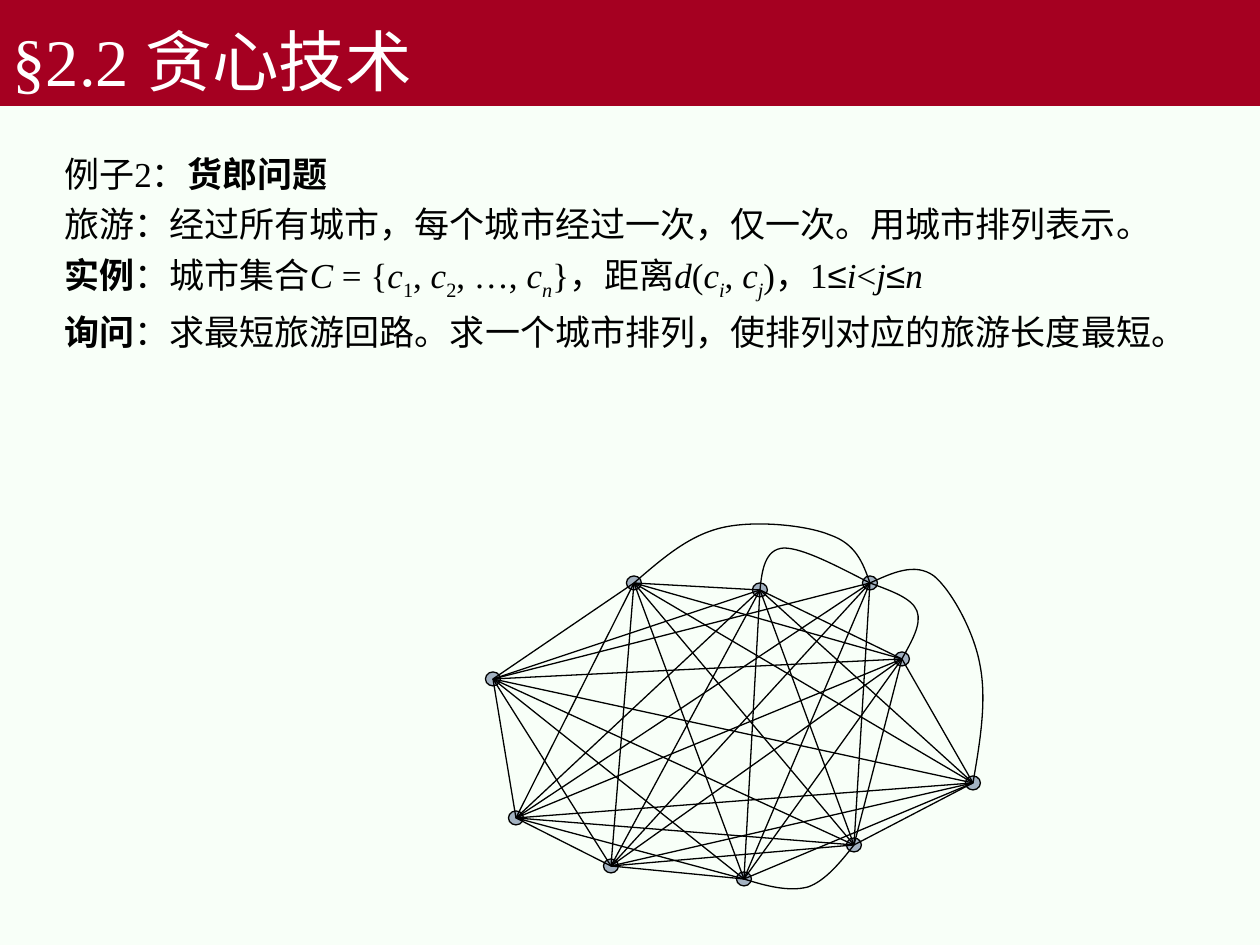
from itertools import combinations

from pptx import Presentation
from pptx import util as u
from pptx.dml.color import RGBColor
from pptx.enum import shapes, text
from pptx.oxml import ns, xmlchemy

PX = u.Inches(1) // 126
THEME = {
    "background": "F8FFF8", "banner": "A50021", "title": "FFFFFF",
    "ink": "000000", "city": "A3B2C1",
    "serif": "Times New Roman", "sans": "Arial",
    "title_size": 38, "body_size": 20, "space_before": 5, "line_width": 0.75,
}

TITLE = "§2.2 贪心技术"
BANNER = (0, 0, 1260, 106)
BODY_BOX = (52, 146, 1134, 238)
BODY = [
    [("例子2：", ""), ("货郎问题", "bold")],
    [("旅游：经过所有城市，每个城市经过一次，仅一次。用城市排列表示。", "")],
    [("实例", "bold"), ("：城市集合", ""), ("C", "italic"), (" = {", ""),
     ("c", "italic"), ("1", "sub"), (", ", ""), ("c", "italic"), ("2", "sub"),
     (", …, ", ""), ("c", "italic"), ("n", "italic sub"), ("}，距离", ""),
     ("d", "italic"), ("(", ""), ("c", "italic"), ("i", "italic sub"), (", ", ""),
     ("c", "italic"), ("j", "italic sub"), (")，1", ""), ("≤", "sans"),
     ("i", "italic"), ("<", ""), ("j", "italic"), ("≤", "sans"), ("n", "italic")],
    [("询问", "bold"),
     ("：求最短旅游回路。求一个城市排列，使排列对应的旅游长度最短。", "")],
]

CITY_SIZE = (15, 14)
CITIES = {
    "A": (634, 583), "B": (760, 590), "C": (870, 583), "D": (902, 659),
    "E": (973, 783), "F": (854, 845), "G": (744, 879), "H": (611, 866),
    "I": (516, 818), "J": (493, 679),
}
CURVED_ROADS = {
    ("A", "C"): [(662, 559), (688, 536), (721, 528), (753, 520), (806, 525),
                 (830, 535), (856, 544), (863, 563)],
    ("B", "C"): [(762, 570), (765, 549), (784, 548), (803, 548), (837, 566)],
    ("C", "D"): [(891, 591), (912, 598), (917, 611), (922, 624), (912, 641)],
    ("C", "E"): [(892, 573), (915, 562), (934, 576), (951, 590), (974, 631),
                 (980, 665), (987, 701), (980, 742)],
    ("F", "G"): [(840, 863), (825, 881), (808, 887), (789, 892), (766, 886)],
}


def emu(values):
    return [value * PX for value in values]


def color(name):
    return RGBColor.from_string(THEME[name])


def paint(fill, name):
    fill.solid()
    fill.fore_color.rgb = color(name)


def set_line(line):
    paint(line.fill, "ink")
    line.width = u.Pt(THEME["line_width"])


def set_font(font, size, ink, face="serif"):
    font.size = u.Pt(THEME[size])
    font.name = THEME[face]
    font.color.rgb = color(ink)


def add_title(slide):
    title = slide.shapes.title
    title.left, title.top, title.width, title.height = emu(BANNER)
    paint(title.fill, "banner")
    frame = title.text_frame
    frame.text = TITLE
    frame.auto_size = text.MSO_AUTO_SIZE.NONE
    frame.vertical_anchor = text.MSO_ANCHOR.BOTTOM
    paragraph = frame.paragraphs[0]
    paragraph.alignment = text.PP_ALIGN.LEFT
    set_font(paragraph.runs[0].font, "title_size", "title")


def add_body(slide):
    frame = slide.shapes.add_textbox(*emu(BODY_BOX)).text_frame
    frame.word_wrap = True
    frame.text = "\n".join("" for _ in BODY)
    for index, (paragraph, pieces) in enumerate(zip(frame.paragraphs, BODY)):
        paragraph.space_before = u.Pt(THEME["space_before"] if index else 0)
        for words, style in pieces:
            run = paragraph.add_run()
            run.text = words
            face = "sans" if "sans" in style else "serif"
            set_font(run.font, "body_size", "ink", face)
            run.font.bold = "bold" in style
            run.font.italic = "italic" in style
            if "sub" in style:
                run.font._element.set("baseline", "-25000")


def add_city(group, center):
    corner = [middle - side / 2 for middle, side in zip(center, CITY_SIZE)]
    box = [int(value) for value in emu([*corner, *CITY_SIZE])]
    city = group.shapes.add_shape(shapes.MSO_SHAPE.OVAL, *box)
    city.shadow.inherit = False
    paint(city.fill, "city")
    set_line(city.line)


def add_straight_road(group, start, end):
    road = group.shapes.add_connector(
        shapes.MSO_CONNECTOR.STRAIGHT, *emu(start), *emu(end))
    set_line(road.line)
    road.element.spPr.append(xmlchemy.OxmlElement("a:effectLst"))


def add_curved_road(group, start, controls, end):
    builder = group.shapes.build_freeform(*start, scale=PX)
    builder.add_line_segments([*controls, end], close=False)
    road = builder.convert_to_shape()
    road.shadow.inherit = False
    road.fill.background()
    set_line(road.line)
    segments = list(road.element.iter(ns.qn("a:lnTo")))
    for first in range(0, len(segments), 3):
        curve = xmlchemy.OxmlElement("a:cubicBezTo")
        segments[first].addprevious(curve)
        for segment in segments[first:first + 3]:
            curve.append(segment[0])
            segment.getparent().remove(segment)


def add_graph(slide):
    group = slide.shapes.add_group_shape()
    for center in CITIES.values():
        add_city(group, center)
    for pair in combinations(CITIES, 2):
        start, end = (CITIES[name] for name in pair)
        if pair in CURVED_ROADS:
            add_curved_road(group, start, CURVED_ROADS[pair], end)
        else:
            add_straight_road(group, start, end)


def main():
    presentation = Presentation()
    presentation.slide_width, presentation.slide_height = emu((1260, 945))
    slide = presentation.slides.add_slide(presentation.slide_layouts[5])
    paint(slide.background.fill, "background")
    add_title(slide)
    add_body(slide)
    add_graph(slide)
    presentation.save("out.pptx")


if __name__ == "__main__":
    main()
